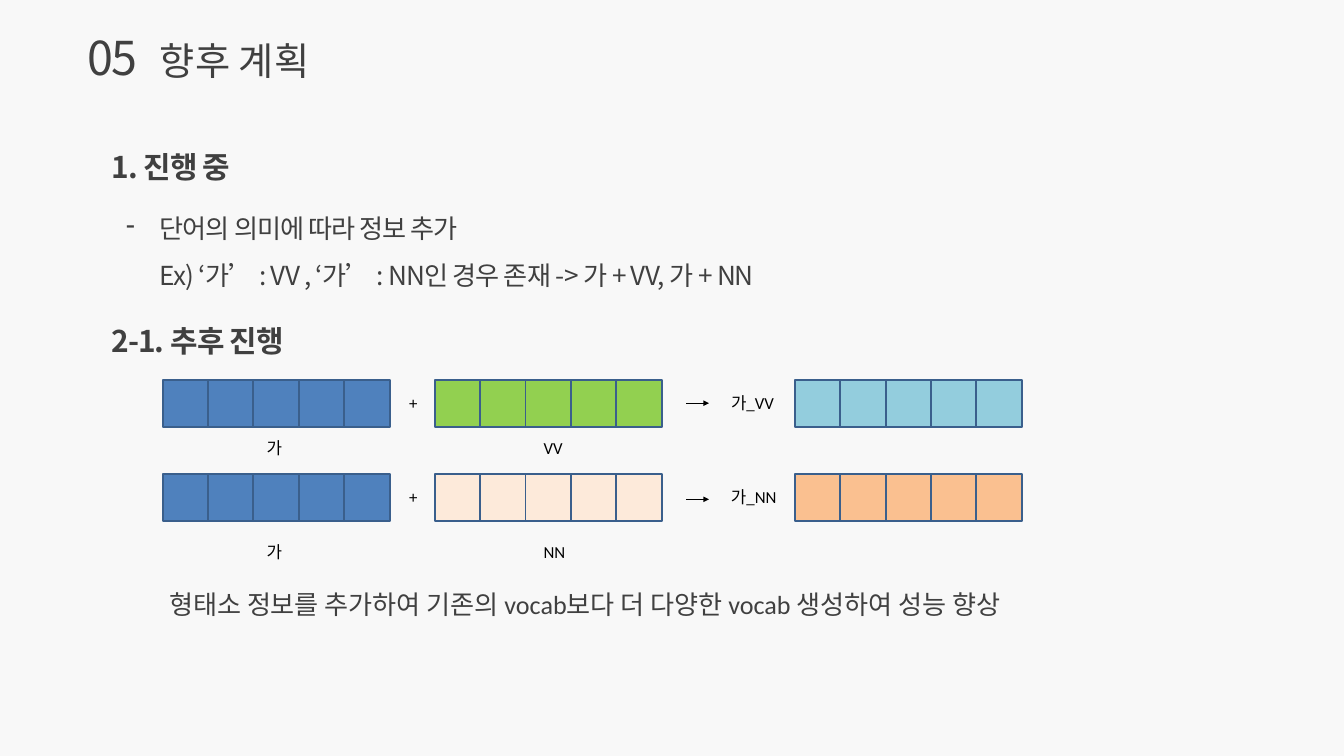
from dataclasses import dataclass

from lxml import etree
from pptx import Presentation
from pptx import util as u
from pptx.dml.color import RGBColor
from pptx.enum import shapes, text
from pptx.oxml import ns

COLORS = {
    "background": "F8F8F8", "ink": "404040", "black": "000000", "outline": "3A5F8C",
    "word": "4F81BD", "verb": "92D050", "noun": "FDEADA",
    "word_verb": "93CDDD", "word_noun": "FAC090",
}
SANS, LABEL_FONT = "Noto Sans CJK KR", "Calibri"
CELL_WIDTH, CELL_HEIGHT, CELL_PITCH, CELL_COUNT = 0.68, 0.7, 0.675, 5
WORD_LEFT, TAG_LEFT, RESULT_LEFT = 2.42, 6.47, 11.83


@dataclass
class Combination:
    """One row: word vector plus tag vector gives a combined vector."""
    top: float
    caption_top: float
    arrow_y: float
    tag: str
    tag_color: str
    result_color: str
    result_width: float


COMBINATIONS = [
    Combination(5.66, 6.46, 6, "VV", "verb", "word_verb", 1.05),
    Combination(7.05, 8.01, 7.43, "NN", "noun", "word_noun", 0.93),
]


def rgb(name: str) -> RGBColor:
    """Look up a named colour."""
    return RGBColor.from_string(COLORS[name])


def add_child(parent, tag: str, **attributes: str):
    """Append a DrawingML element."""
    return etree.SubElement(parent, ns.qn(tag), attributes)


def write(slide, lines, left, top, width, height, *, size=18, font=LABEL_FONT,
          color="black", bold=False, tracking=0, wrap=True, box=None,
          anchor=text.MSO_ANCHOR.TOP, spacing=None):
    """Write lines in a new text box, or in the given placeholder."""
    if box is None:
        box = slide.shapes.add_textbox(0, 0, 0, 0)
    box.left, box.top, box.width, box.height = map(u.Inches, (left, top, width, height))
    frame = box.text_frame
    frame.text = lines
    frame.word_wrap = wrap
    frame.auto_size = text.MSO_AUTO_SIZE.SHAPE_TO_FIT_TEXT
    frame.vertical_anchor = anchor
    for paragraph in frame.paragraphs:
        paragraph.alignment = text.PP_ALIGN.LEFT
        if spacing:
            paragraph.line_spacing = spacing
        for run in paragraph.runs:
            run.font.size, run.font.bold, run.font.name = u.Pt(size), bold, font
            run.font.color.rgb = rgb(color)
            properties = run.font._element
            add_child(properties, "a:ea", typeface=font)
            if tracking:
                properties.set("spc", str(tracking * 100))
    return box


def indent(paragraph, first: float, bullet: str = "") -> None:
    """Indent a paragraph by half an inch, with an optional bullet."""
    properties = paragraph._p.get_or_add_pPr()
    properties.set("marL", str(u.Inches(0.5)))
    properties.set("indent", str(u.Inches(first)))
    if bullet:
        add_child(properties, "a:buFontTx")
        add_child(properties, "a:buChar", char=bullet)


def draw_vector(slide, left: float, top: float, color: str) -> None:
    """Draw a row of equal cells."""
    for index in range(CELL_COUNT):
        cell = slide.shapes.add_shape(
            shapes.MSO_SHAPE.RECTANGLE, u.Inches(left + index * CELL_PITCH),
            u.Inches(top), u.Inches(CELL_WIDTH), u.Inches(CELL_HEIGHT))
        cell.shadow.inherit = False
        cell.fill.solid()
        cell.fill.fore_color.rgb = rgb(color)
        cell.line.color.rgb = rgb("outline")
        cell.line.width = u.Pt(2)


def draw_arrow(slide, y: float) -> None:
    """Draw the arrow that leads to the combined vector."""
    arrow = slide.shapes.add_connector(
        shapes.MSO_CONNECTOR.STRAIGHT, u.Inches(10.21), u.Inches(y),
        u.Inches(10.55), u.Inches(y))
    arrow.line.color.rgb = rgb("black")
    arrow.line.width = u.Pt(0.75)
    add_child(arrow.line._get_or_add_ln(), "a:tailEnd", type="triangle")
    add_child(arrow._element.spPr, "a:effectLst")


def draw_combination(slide, row: Combination) -> None:
    """Draw one row of vectors with its labels."""
    for left, color in ((WORD_LEFT, "word"), (TAG_LEFT, row.tag_color),
                        (RESULT_LEFT, row.result_color)):
        draw_vector(slide, left, row.top, color)
    label_top = row.top + 0.14
    write(slide, "가", 3.87, row.caption_top, 0.46, 0.42, wrap=False)
    write(slide, row.tag, 7.99, row.caption_top, 0.52, 0.42, wrap=False)
    write(slide, "+", 5.99, label_top, 0.33, 0.42, wrap=False)
    write(slide, f"가_{row.tag}", 10.78, label_top, row.result_width, 0.42)
    draw_arrow(slide, row.arrow_y)


def build() -> None:
    """Build and save the slide."""
    deck = Presentation()
    deck.slide_width, deck.slide_height = u.Inches(20), u.Inches(11.25)
    slide = deck.slides.add_slide(deck.slide_layouts[5])
    slide.background.fill.solid()
    slide.background.fill.fore_color.rgb = rgb("background")

    body = {"font": SANS, "color": "ink"}
    write(slide, "05", 1.2, 0.38, 1.22, 0.94, size=50, tracking=-2,
          anchor=text.MSO_ANCHOR.MIDDLE, **body)
    write(slide, "향후 계획", 2.28, 0.5, 16.79, 0.79, size=41,
          box=slide.shapes.title, **body)
    for heading, top in (("1. 진행 중", 2.17), ("2-1. 추후 진행", 4.75)):
        write(slide, heading, 1.56, top, 6.72, 0.64, size=32, bold=True,
              tracking=-1, **body)

    progress = write(
        slide, "단어의 의미에 따라 정보 추가\n"
        "Ex) ‘가’ : VV , ‘가’ : NN인 경우 존재 -> 가 + VV, 가 + NN",
        1.78, 2.88, 15.08, 1.44, size=28, tracking=-1, spacing=1.5, **body)
    item, example = progress.text_frame.paragraphs
    indent(item, -0.5, "-")
    example.level = 1
    indent(example, 0)

    for row in COMBINATIONS:
        draw_combination(slide, row)
    write(slide, "형태소 정보를 추가하여 기존의 vocab보다 더 다양한 vocab 생성하여 성능 향상",
          2.42, 8.71, 13.58, 0.57, size=28, color="ink")
    deck.save("out.pptx")


build()
